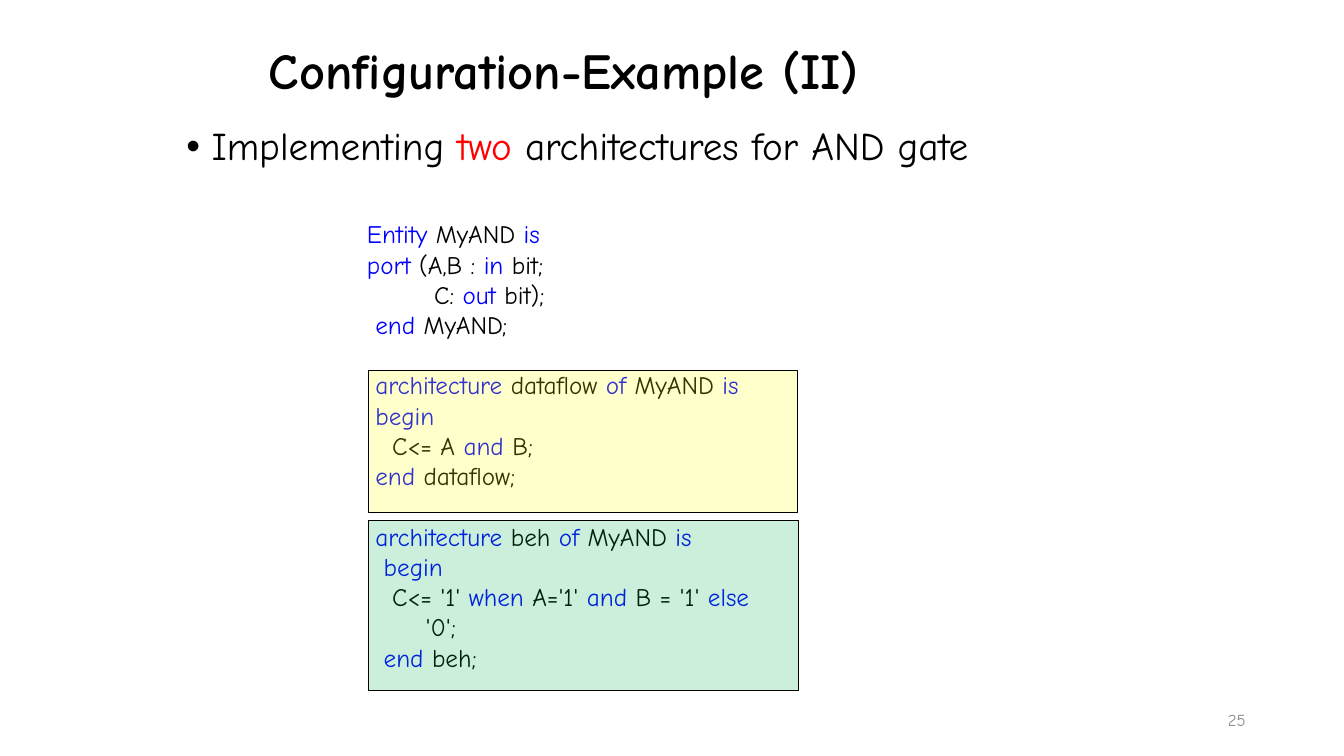
from pptx import Presentation
from pptx.dml.color import RGBColor
from pptx.enum import shapes, text
from pptx.oxml import xmlchemy as x
from pptx.util import Pt

FONT = "Comic Neue"
BLACK, BLUE, RED, GREY = "000000", "0000FF", "FF0000", "8C8C8C"
SPACE = 6
LINE = 21.6
ENTITY = [
    (0, "*Entity *MyAND *is"),
    (0, "*port* (A,B : *in* bit;"),
    (8, "C: *out* bit);"),
    (1, "*end *MyAND;"),
]
DATAFLOW = [
    (1, "*architecture* dataflow *of *MyAND *is"),
    (1, "*begin"),
    (3, "C<= A *and* B;"),
    (1, "*end* dataflow;"),
]
BEHAVIOUR = [
    (1, "*architecture *beh *of *MyAND *is"),
    (2, "*begin"),
    (3, "C<= '1' *when* A='1' *and* B = '1' *else"),
    (7, "'0';"),
    (2, "*end *beh;"),
]


def rgb(value):
    return RGBColor.from_string(value)


def add_frame(s, box, anchor=text.MSO_ANCHOR.TOP):
    tf = s.shapes.add_textbox(*map(Pt, box)).text_frame
    tf.word_wrap = True
    tf.vertical_anchor = anchor
    return tf


def add_runs(p, marked, size, accent=BLUE, color=BLACK, bold=False):
    for i, part in enumerate(marked.split("*")):
        if part:
            r = p.add_run()
            r.text = part
            r.font.name = FONT
            r.font.size = Pt(size)
            r.font.bold = bold
            r.font.color.rgb = rgb(accent if i % 2 else color)


def add_title(s, box):
    p = add_frame(s, box, text.MSO_ANCHOR.MIDDLE).paragraphs[0]
    p.line_spacing = 0.9
    add_runs(p, "Configuration-Example (II)", 36, bold=True)


def add_bullet(s, box):
    p = add_frame(s, box).paragraphs[0]
    p.line_spacing = 0.9
    p.space_before = Pt(10)
    pPr = p._p.get_or_add_pPr()
    pPr.set("marL", str(Pt(18)))
    pPr.set("indent", str(-Pt(18)))
    font = pPr.makeelement(x.qn("a:buFont"), {"typeface": "Arial"})
    bullet = pPr.makeelement(x.qn("a:buChar"), {"char": "•"})
    pPr.extend([font, bullet])
    add_runs(p, "Implementing *two* architectures for AND gate", 28, RED)


def add_code(s, box, blocks):
    tf = add_frame(s, box)
    p = tf.paragraphs[0]
    for b, block in enumerate(blocks):
        for i, (spaces, line) in enumerate(block):
            if b or i:
                p = tf.add_paragraph()
            if b and i == 0:
                p.space_before = Pt(LINE)
            p._p.get_or_add_pPr().set("marL", str(Pt(spaces * SPACE)))
            add_runs(p, line, 18)


def add_highlight(s, box, color):
    sp = s.shapes.add_shape(shapes.MSO_SHAPE.RECTANGLE, *map(Pt, box))
    sp.shadow.inherit = False
    sp.fill.solid()
    sp.fill.fore_color.rgb = rgb(color)
    clr = sp._element.spPr.find(".//" + x.qn("a:srgbClr"))
    clr.append(clr.makeelement(x.qn("a:alpha"), {"val": "20000"}))
    sp.line.color.rgb = rgb(BLACK)
    sp.line.width = Pt(0.75)


def add_page_number(s, box):
    p = add_frame(s, box, text.MSO_ANCHOR.MIDDLE).paragraphs[0]
    p.alignment = text.PP_ALIGN.RIGHT
    add_runs(p, "25", 12, color=GREY)


prs = Presentation()
prs.slide_width, prs.slide_height = Pt(960), Pt(540)
s = prs.slides.add_slide(prs.slide_layouts[6])
add_title(s, (185, 0, 828, 104.4))
add_bullet(s, (126, 87, 651.6, 90.7))
add_code(s, (255, 152.6, 360, 334.8), [ENTITY, DATAFLOW, BEHAVIOUR])
add_highlight(s, (263.5, 264.4, 306, 102), "FFFF00")
add_highlight(s, (263.5, 372, 306.7, 121), "00B050")
add_page_number(s, (681, 499.7, 216, 28.8))
prs.save("out.pptx")
